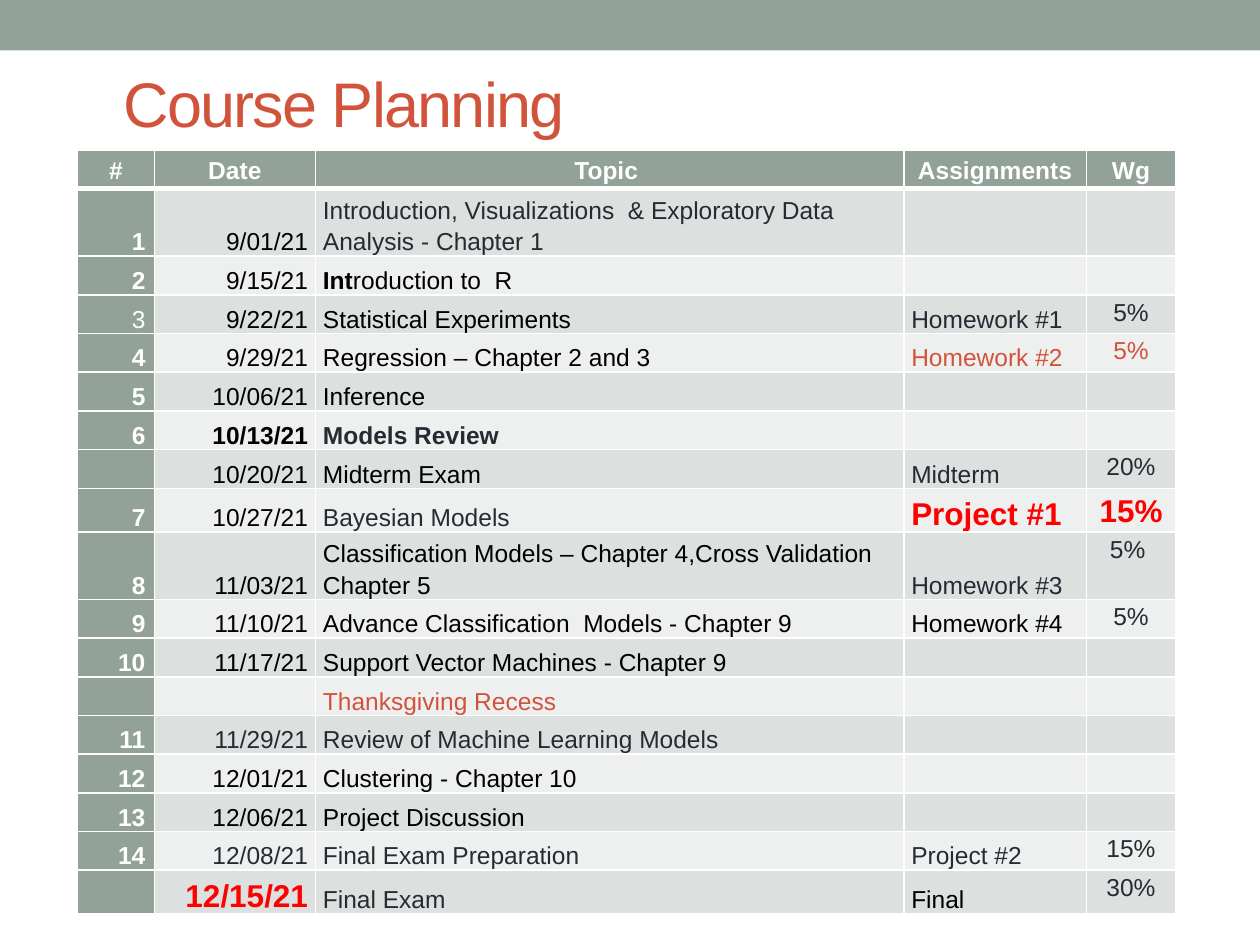
from dataclasses import dataclass

from lxml.etree import SubElement
from pptx import Presentation
from pptx.dml.color import RGBColor
from pptx.enum.shapes import MSO_SHAPE as Shape
from pptx.enum.text import MSO_ANCHOR as Anchor, PP_ALIGN as Align
from pptx.oxml.ns import qn
from pptx.util import Cm, Pt

SAGE = RGBColor(0x93, 0xA2, 0x99)
RUST = RGBColor(0xD2, 0x53, 0x3C)
INK = RGBColor(0x29, 0x29, 0x34)
BLACK = RGBColor(0, 0, 0)
WHITE = RGBColor(0xFF, 0xFF, 0xFF)
RED = RGBColor(0xFF, 0, 0)
BANDS = (RGBColor(0xDC, 0xE0, 0xDE), RGBColor(0xEE, 0xF0, 0xEF))
FACE = "Arial"


@dataclass(frozen=True)
class Column:
    head: str
    width: float
    align: Align
    anchor: Anchor
    pad: float
    color: RGBColor
    bold: bool = False


@dataclass(frozen=True)
class Entry:
    """Cell text that departs from the style of its column."""
    text: str
    color: RGBColor | None = None
    bold: bool | None = None
    size: int = 14
    lead: str = ""  # bold start of the text


COLUMNS = (
    Column("#", 1.55, Align.RIGHT, Anchor.BOTTOM, 0.18, WHITE, True),
    Column("Date", 3.25, Align.RIGHT, Anchor.BOTTOM, 0.15, BLACK),
    Column("Topic ", 11.86, Align.LEFT, Anchor.BOTTOM, 0.15, BLACK),
    Column("Assignments", 3.68, Align.LEFT, Anchor.BOTTOM, 0.15, INK),
    Column("Wg", 1.8, Align.CENTER, Anchor.TOP, 0.18, INK),
)


def ink(text: str, bold: bool = False) -> Entry:
    return Entry(text, INK, bold)


def rust(text: str) -> Entry:
    return Entry(text, RUST)


def alert(text: str) -> Entry:
    return Entry(text, RED, True, 18)


ROWS = (
    ("1", "9/01/21", ink("Introduction, Visualizations  & Exploratory Data Analysis - Chapter 1"), "", ""),
    ("2", "9/15/21", Entry("roduction to  R", lead="Int"), "", ""),
    (Entry("3", bold=False), "9/22/21", "Statistical Experiments", "Homework #1", "5%"),
    ("4", "9/29/21", "Regression – Chapter 2 and 3", rust("Homework #2"), rust("5%")),
    ("5", "10/06/21", "Inference", "", ""),
    ("6", Entry("10/13/21", bold=True), ink("Models Review", True), "", ""),
    ("", "10/20/21", "Midterm Exam", "Midterm", "20%"),
    ("7", "10/27/21", ink("Bayesian Models"), alert("Project #1"), alert("15%")),
    ("8", "11/03/21", "Classification Models – Chapter 4,Cross Validation Chapter 5", "Homework #3", "5% "),
    ("9", "11/10/21", "Advance Classification  Models - Chapter 9", Entry("Homework #4", BLACK), "5%"),
    ("10", "11/17/21", "Support Vector Machines - Chapter 9", "", ""),
    ("", "", rust("Thanksgiving Recess"), "", ""),
    ("11", ink("11/29/21"), ink("Review of Machine Learning Models"), "", ""),
    ("12", "12/01/21", "Clustering - Chapter 10", "", ""),
    ("13", "12/06/21", "Project Discussion", "", ""),
    ("14", ink("12/08/21"), ink("Final Exam Preparation"), "Project #2", "15%"),
    ("", alert("12/15/21"), ink("Final Exam"), Entry("Final", BLACK), "30%"),
)
TALL = ("1", "8")  # weeks whose topic takes two lines


def set_edge(cell, side: str, width: float) -> None:
    line = SubElement(cell._tc.get_or_add_tcPr(), qn(f"a:ln{side}"), w=str(Pt(width)))
    fill = SubElement(line, qn("a:solidFill"))
    SubElement(fill, qn("a:srgbClr"), val=str(WHITE))


def draw_cell(cell, entry: Entry, col: Column, row: int, fill: RGBColor) -> None:
    head = row == 0
    for side, thick in (("L", False), ("R", False), ("T", row == 1), ("B", head)):
        set_edge(cell, side, 3 if thick else 1)
    cell.fill.solid()
    cell.fill.fore_color.rgb = fill
    cell.margin_left = cell.margin_right = Cm(0.18 if head else col.pad)
    cell.margin_top = cell.margin_bottom = 0
    cell.vertical_anchor = Anchor.MIDDLE if head else col.anchor
    if not entry.text:
        return
    para = cell.text_frame.paragraphs[0]
    para.alignment = Align.CENTER if head else col.align
    para.line_spacing = 1.15
    font = para.font
    font.name, font.size = FACE, Pt(entry.size)
    font.color.rgb = entry.color or col.color
    font.bold = col.bold if entry.bold is None else entry.bold
    if entry.lead:
        start = para.add_run()
        start.text = entry.lead
        start.font.bold = True
    para.add_run().text = entry.text


def draw_plan(slide) -> None:
    width = sum(col.width for col in COLUMNS)
    frame = slide.shapes.add_table(
        len(ROWS) + 1, len(COLUMNS), Cm(1.56), Cm(3.02), Cm(width), Cm(15.1))
    table = frame.table
    table.first_row = table.horz_banding = False
    for c, col in enumerate(COLUMNS):
        table.columns[c].width = Cm(col.width)
    heads = tuple(Entry(col.head, WHITE, True) for col in COLUMNS)
    for r, row in enumerate((heads, *ROWS)):
        table.rows[r].height = Cm(1.31 if row[0] in TALL else 0.78)
        for c, (item, col) in enumerate(zip(row, COLUMNS)):
            entry = item if isinstance(item, Entry) else Entry(item)
            fill = SAGE if r == 0 or c == 0 else BANDS[(r - 1) % 2]
            draw_cell(table.cell(r, c), entry, col, r, fill)


def draw_title(slide, text: str) -> None:
    box = slide.shapes.add_textbox(Cm(2.24), Cm(1.09), Cm(20.96), Cm(1.93))
    frame = box.text_frame
    frame.word_wrap = True
    frame.vertical_anchor = Anchor.MIDDLE
    para = frame.paragraphs[0]
    para.font.name, para.font.size = FACE, Pt(36)
    para.font.color.rgb = RUST
    run = para.add_run()
    run.text = text
    run._r.get_or_add_rPr().set("spc", "-100")


def main() -> None:
    deck = Presentation()
    deck.slide_width, deck.slide_height = Cm(25.4), Cm(19.05)
    slide = deck.slides.add_slide(deck.slide_layouts[6])

    # Top band
    band = slide.shapes.add_shape(Shape.RECTANGLE, 0, 0, deck.slide_width, Cm(1.02))
    band.shadow.inherit = False
    band.fill.solid()
    band.fill.fore_color.rgb = SAGE
    band.line.fill.background()

    # Title and schedule
    draw_title(slide, "Course Planning")
    draw_plan(slide)
    deck.save("out.pptx")


if __name__ == "__main__":
    main()
